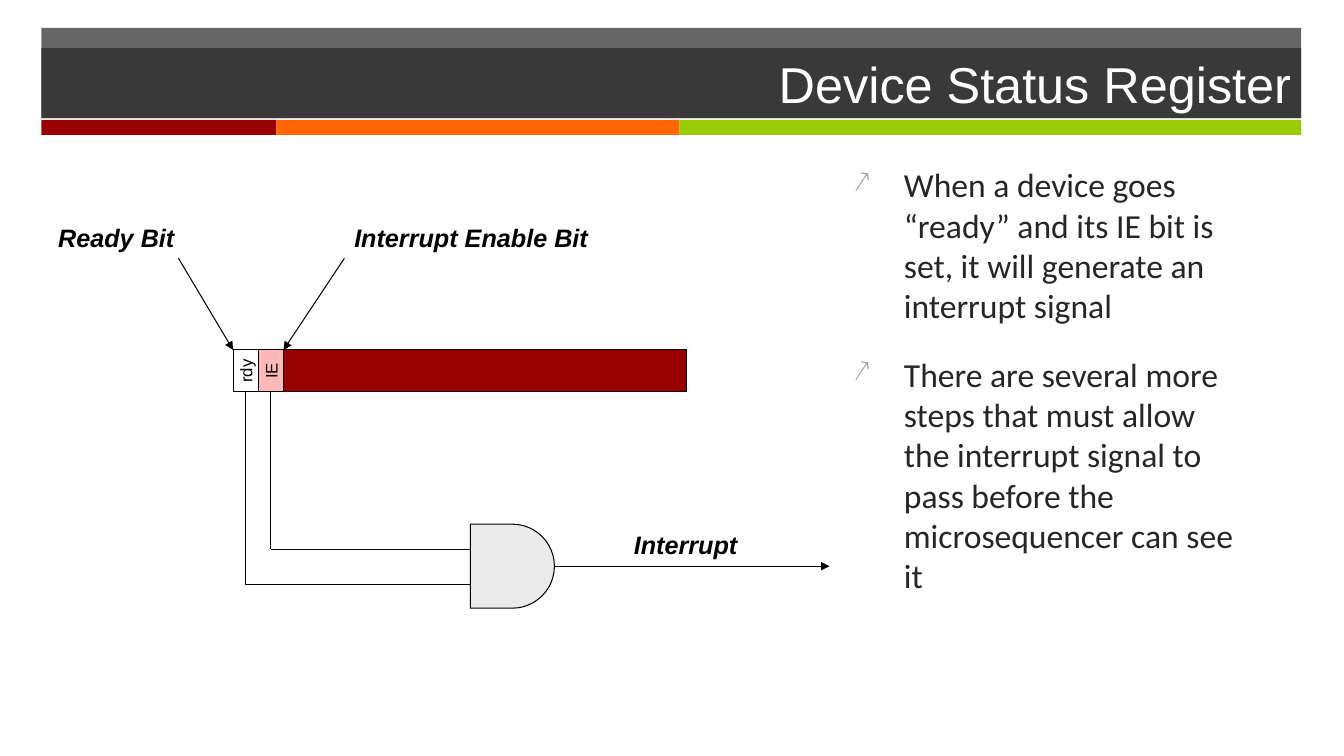
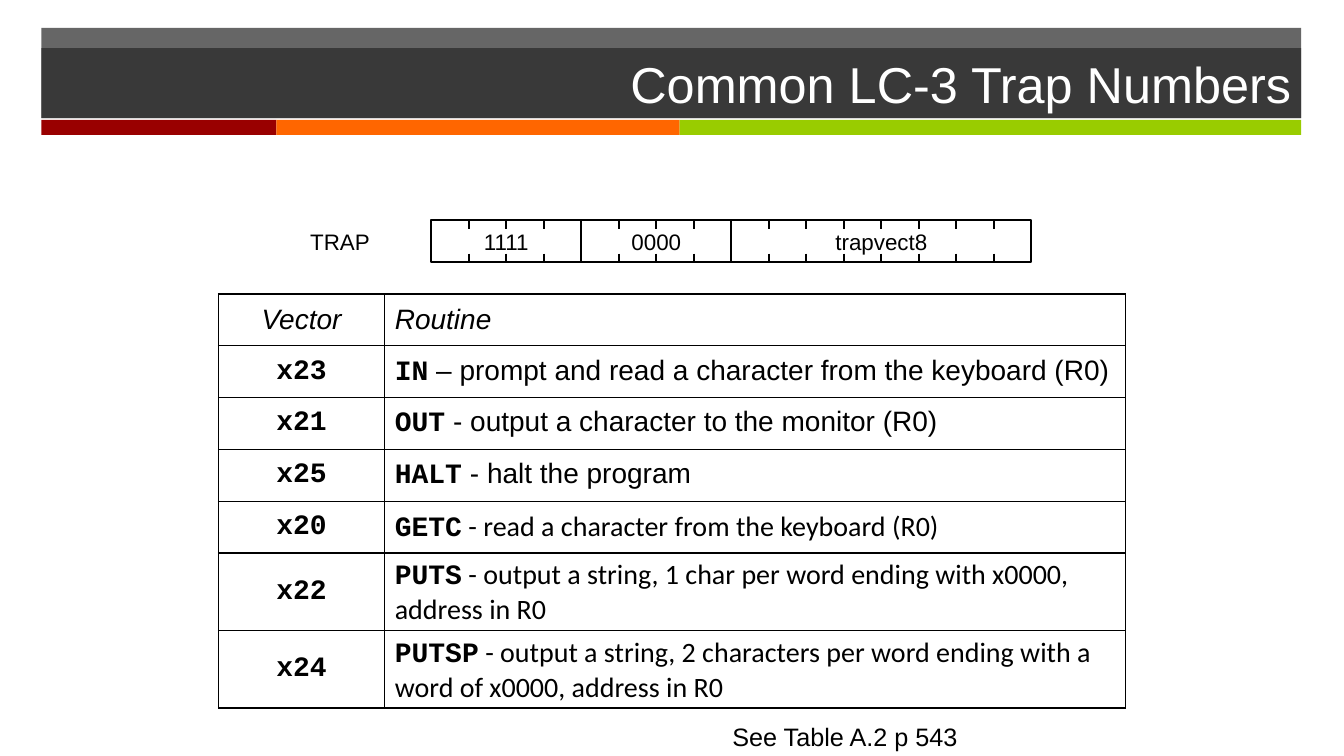
from lxml.etree import SubElement
from pptx import Presentation
from pptx.dml.color import RGBColor
from pptx.enum.shapes import MSO_CONNECTOR, MSO_SHAPE
from pptx.enum.text import MSO_ANCHOR, PP_ALIGN
from pptx.oxml.ns import qn
from pptx.util import Pt

COLOURS = {
    "black": "000000", "white": "FFFFFF", "dark": "262626", "bullet": "A6A6A6",
    "red": "990000", "orange": "FF6600", "green": "99CC00",
    "pink": "FFB8B8", "gate": "EAEAEA",
}
STRIPES = [("red", 168), ("orange", 288), ("green", 444)]
NOTES = [
    "When a device goes “ready” and its IE bit is set, it will generate an interrupt signal",
    "There are several more steps that must allow the interrupt signal to pass "
    "before the microsequencer can see it",
]
FIELDS = [("1111", 4), ("0000", 4), ("trapvect8", 8)]
ROUTINES = [
    ("x23", "IN", " – prompt and read a character from the keyboard (R0)", "Arial"),
    ("x21", "OUT", " - output a character to the monitor (R0)", "Arial"),
    ("x25", "HALT", " - halt the program", "Arial"),
    ("x20", "GETC", " - read a character from the keyboard (R0)", "Calibri"),
    ("x22", "PUTS", " - output a string, 1 char per word ending with x0000, address in R0",
     "Calibri"),
    ("x24", "PUTSP", " - output a string, 2 characters per word ending with a word of x0000, "
     "address in R0", "Calibri"),
]


def colour(name):
    """Return the named colour."""
    return RGBColor.from_string(COLOURS[name])


def style_font(font, size, name="Arial", ink="black", bold=False, italic=False):
    """Set the size, typeface, colour and weight of a font."""
    font.size, font.name, font.bold, font.italic = Pt(size), name, bold, italic
    font.color.rgb = colour(ink)


def add_box(slide, left, top, width, height, fill=None, line=None,
            kind=MSO_SHAPE.RECTANGLE, opacity=None):
    """Add a flat preset shape; line is a black outline's width."""
    box = slide.shapes.add_shape(kind, Pt(left), Pt(top), Pt(width), Pt(height))
    box.shadow.inherit = False
    if fill:
        box.fill.solid()
        box.fill.fore_color.rgb = colour(fill)
    else:
        box.fill.background()
    if opacity:
        tint = box.element.spPr.find(qn("a:solidFill")).find(qn("a:srgbClr"))
        SubElement(tint, qn("a:alpha")).set("val", str(opacity * 1000))
    if line:
        box.line.color.rgb = colour("black")
        box.line.width = Pt(line)
    else:
        box.line.fill.background()
    return box


def write(box, text, size, align=PP_ALIGN.CENTER, **style):
    """Put one unwrapped, middle-anchored line of text into a shape."""
    frame = box.text_frame
    frame.word_wrap = False
    frame.vertical_anchor = MSO_ANCHOR.MIDDLE
    para = frame.paragraphs[0]
    para.text = text
    para.alignment = align
    style_font(para.runs[0].font, size, **style)


def add_label(slide, text, left, top, width, height, size, **style):
    """Add a single-line text box."""
    box = slide.shapes.add_textbox(Pt(left), Pt(top), Pt(width), Pt(height))
    write(box, text, size, **{"align": PP_ALIGN.LEFT, **style})


def add_line(slide, start, end, width=0.75, arrow=False):
    """Add a straight black line, with an arrowhead at its end if asked."""
    points = [Pt(value) for value in (*start, *end)]
    line = slide.shapes.add_connector(MSO_CONNECTOR.STRAIGHT, *points)
    line.line.color.rgb = colour("black")
    line.line.width = Pt(width)
    properties = line.element.spPr
    if arrow:
        SubElement(properties.find(qn("a:ln")), qn("a:tailEnd")).set("type", "triangle")
    SubElement(properties, qn("a:effectLst"))


def add_header(slide, title, left=29.5, top=20, width=900):
    """Draw the title bands and the coloured stripes below them."""
    add_box(slide, left, top, width, 64.4, "dark", opacity=70)
    stripe_left = left
    for name, stripe_width in STRIPES:
        add_box(slide, stripe_left, top + 65.6, stripe_width, 10.8, name)
        stripe_left += stripe_width
    band = add_box(slide, left, top + 14.3, width, 50.1, "dark", opacity=70)
    write(band, title, 36, align=PP_ALIGN.RIGHT, ink="white")


def add_notes(slide, left, top, width, height):
    """Add the bulleted notes."""
    box = slide.shapes.add_textbox(Pt(left), Pt(top), Pt(width), Pt(height))
    frame = box.text_frame
    frame.word_wrap = True
    for index, note in enumerate(NOTES):
        para = frame.add_paragraph() if index else frame.paragraphs[0]
        para.text = note
        para.space_before = Pt(20)
        style_font(para.runs[0].font, 24, "Calibri", "dark")
        properties = para.runs[0].font and para._p.get_or_add_pPr()
        properties.set("marL", str(Pt(36)))
        properties.set("indent", str(-Pt(36)))
        tint = SubElement(properties, qn("a:buClr"))
        SubElement(tint, qn("a:srgbClr")).set("val", COLOURS["bullet"])
        SubElement(properties, qn("a:buSzPct")).set("val", "90000")
        SubElement(properties, qn("a:buChar")).set("char", "↗")


def add_register_diagram(slide, left, top, width):
    """Draw the status register whose two bits feed an AND gate."""
    cell, cell_height, gate = 18, 30, 60
    register_left, register_top = left + 132, top + 95
    register_bottom = register_top + cell_height
    gate_left, gate_top = left + 301.5, top + 219.4
    emphasis = {"bold": True, "italic": True}

    add_box(slide, register_left + cell, register_top, 306, cell_height, "red", 0.75)
    add_box(slide, gate_left, gate_top, gate, gate, "gate", 0.75, MSO_SHAPE.FLOWCHART_DELAY)
    for index, (name, fill, drop) in enumerate([("rdy", "white", 43.2), ("IE", "pink", 18)]):
        cell_left = register_left + index * cell
        bit = add_box(slide, cell_left, register_top, cell, cell_height, fill, 0.75)
        write(bit, name, 12)
        bit.element.txBody.find(qn("a:bodyPr")).set("vert", "vert270")
        corner = (cell_left + cell / 2, gate_top + drop)
        add_line(slide, (corner[0], register_bottom), corner)
        add_line(slide, corner, (gate_left, corner[1]))

    callouts = [("Ready Bit", 0, 98.6, 93, 0), ("Interrupt Enable Bit", 211.5, 183, 211.5, 36)]
    for text, offset, label_width, start, target in callouts:
        add_label(slide, text, left + offset, top, label_width, 29, 18, **emphasis)
        add_line(slide, (left + start, top + 29.5),
                 (register_left + target, register_top), arrow=True)

    middle = gate_top + gate / 2
    add_line(slide, (gate_left + gate, middle), (left + width, middle), arrow=True)
    add_label(slide, "Interrupt", left + 411.2, gate_top, 88.6, 29, 18, **emphasis)


def add_trap_word(slide, left, top, bit=26.8, height=30.5):
    """Draw the instruction word as fields with bit ticks."""
    add_label(slide, "TRAP", left - 93.5, top + 2, 57, 26.6, 16)
    for text, bits in FIELDS:
        width = bits * bit
        field = add_box(slide, left, top, width, height, line=1.5)
        write(field, text, 16)
        for index in range(1, bits):
            tick = left + index * bit
            for tick_top in (top, top + height - 6.3):
                add_line(slide, (tick, tick_top), (tick, tick_top + 6.3), 1.5)
        left += width


def fill_cell(cell, parts, align):
    """Write styled (text, style) parts into a bordered, unfilled cell."""
    cell.fill.background()
    cell.vertical_anchor = MSO_ANCHOR.MIDDLE
    para = cell.text_frame.paragraphs[0]
    para.alignment = align
    for text, style in parts:
        span = para.add_run()
        span.text = text
        style_font(span.font, 20, **style)
    properties = cell._tc.get_or_add_tcPr()
    for index, side in enumerate(("lnL", "lnR", "lnT", "lnB")):
        border = SubElement(properties, qn(f"a:{side}"))
        border.set("w", str(Pt(1)))
        paint = SubElement(border, qn("a:solidFill"))
        SubElement(paint, qn("a:srgbClr")).set("val", COLOURS["black"])
        properties.insert(index, border)


def add_routine_table(slide, left, top):
    """Add the table of trap vectors and their routines."""
    widths, heights = [118.8, 529.2], [37] * 5 + [55.4] * 2
    table = slide.shapes.add_table(len(heights), len(widths), Pt(left), Pt(top),
                                   Pt(sum(widths)), Pt(sum(heights))).table
    table.first_row = table.horz_banding = False
    for column, width in zip(table.columns, widths):
        column.width = Pt(width)
    for row, height in zip(table.rows, heights):
        row.height = Pt(height)
    heading, code = {"italic": True}, {"name": "Courier New", "bold": True}
    rows = [([("Vector", heading)], [("Routine", heading)])]
    rows += [([(vector, code)], [(routine, code), (text, {"name": font})])
             for vector, routine, text, font in ROUTINES]
    for row, cells in enumerate(rows):
        for column, align in enumerate((PP_ALIGN.CENTER, PP_ALIGN.LEFT)):
            fill_cell(table.cell(row, column), cells[column], align)


def add_slide(deck, title):
    """Add a blank slide with the shared header."""
    slide = deck.slides.add_slide(deck.slide_layouts[6])
    add_header(slide, title)
    return slide


def build_status_slide(deck):
    """Build the device status register slide."""
    slide = add_slide(deck, "Device Status Register")
    add_notes(slide, 602.6, 113.8, 290.2, 381)
    add_register_diagram(slide, 34.5, 155, 558)


def build_trap_slide(deck):
    """Build the trap numbers slide."""
    slide = add_slide(deck, "Common LC-3 Trap Numbers")
    add_trap_word(slide, 308, 157)
    add_routine_table(slide, 156, 210)
    add_label(slide, "See Table A.2 p 543", 516, 511.2, 178.6, 29, 18)


def main():
    """Build and save the deck."""
    deck = Presentation()
    deck.slide_width, deck.slide_height = Pt(960), Pt(540)
    build_status_slide(deck)
    build_trap_slide(deck)
    deck.save("out.pptx")


if __name__ == "__main__":
    main()
